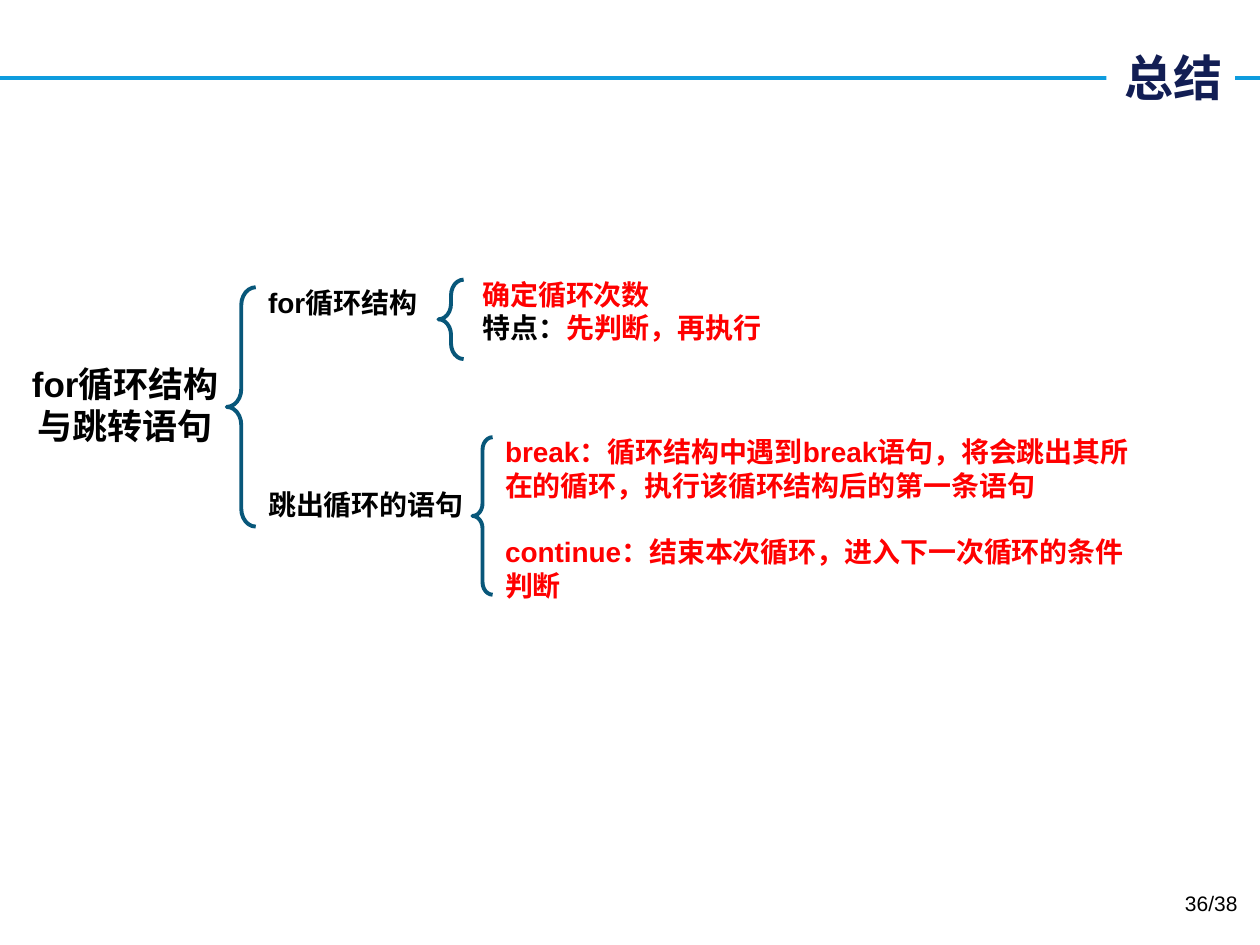
"""Build the summary slide on the for loop and jump statements."""
from dataclasses import dataclass

from lxml import etree
from pptx import Presentation
from pptx import util as u
from pptx.dml.color import RGBColor
from pptx.enum import lang, shapes, text
from pptx.oxml.ns import qn


@dataclass(frozen=True)
class Theme:
    font: str = "Arial"
    title_font: str = "Noto Sans CJK SC"
    ink: str = "000000"
    key: str = "FF0000"
    title: str = "121E54"
    paper: str = "FFFFFF"
    rule: str = "0E9CDE"
    brace: str = "08577A"
    title_size: int = 28
    topic_size: int = 20
    body_size: int = 16
    number_size: int = 12
    line_width: float = 2.25


T = Theme()
LEFT, CENTER, RIGHT = text.PP_ALIGN.LEFT, text.PP_ALIGN.CENTER, text.PP_ALIGN.RIGHT


@dataclass(frozen=True)
class Box:
    left: float
    top: float
    width: float
    height: float

    def lengths(self) -> list[u.Length]:
        return [u.Inches(v) for v in (self.left, self.top, self.width, self.height)]


@dataclass(frozen=True)
class Label:
    box: Box
    lines: tuple[tuple[tuple[str, str], ...], ...]
    size: int = T.body_size
    align: text.PP_ALIGN = LEFT
    gap: float = 0
    font: str = T.font
    bold: bool = True


@dataclass(frozen=True)
class Brace:
    box: Box
    curve: float = 0.62


LABELS = (
    Label(Box(2.03, 2.22, 2.73, 2.26),
          ((("for循环结构", T.ink),), (("跳出循环的语句", T.ink),)), gap=96),
    Label(Box(3.73, 2.15, 2.52, 0.64),
          ((("确定循环次数", T.key),), (("特点：", T.ink), ("先判断，再执行", T.key)))),
    Label(Box(0, 2.83, 1.99, 0.77),
          ((("for循环结构", T.ink),), (("与跳转语句", T.ink),)), T.topic_size, CENTER),
    Label(Box(3.91, 3.4, 5.21, 1.45),
          ((("break：循环结构中遇到break语句，将会跳出其所在的循环，执行该循环结构后的第一条语句", T.key),),
           (("continue：结束本次循环，进入下一次循环的条件判断", T.key),)), gap=19),
    Label(Box(7.59, 7.02, 2.33, 0.4), ((("36/38", T.ink),),),
          T.number_size, RIGHT, bold=False),
)
TITLE = Label(Box(8.78, 0.31, 1.02, 0.6), ((("总结", T.title),),),
              T.title_size, RIGHT, font=T.title_font)
BRACES = (
    Brace(Box(1.8, 2.28, 0.23, 1.9)),
    Brace(Box(3.48, 2.22, 0.2, 0.63)),
    Brace(Box(3.75, 3.47, 0.16, 1.25)),
)


def rgb(value: str) -> RGBColor:
    return RGBColor.from_string(value)


def add_label(s, label: Label):
    sp = s.shapes.add_textbox(*label.box.lengths())
    tf = sp.text_frame
    tf.word_wrap = True
    for i, line in enumerate(label.lines):
        p = tf.add_paragraph() if i else tf.paragraphs[0]
        p.alignment = label.align
        p.space_before = u.Pt(label.gap if i else 0)
        for words, color in line:
            r = p.add_run()
            r.text = words
            r.font.name = label.font
            r.font.size = u.Pt(label.size)
            r.font.bold = label.bold
            r.font.color.rgb = rgb(color)
            r.font.language_id = lang.MSO_LANGUAGE_ID.SIMPLIFIED_CHINESE
    return sp


def add_title(s, label: Label) -> None:
    sp = add_label(s, label)
    sp.fill.solid()
    sp.fill.fore_color.rgb = rgb(T.paper)
    sp.text_frame.vertical_anchor = text.MSO_ANCHOR.MIDDLE


def style_line(line, color: str) -> None:
    line.color.rgb = rgb(color)
    line.width = u.Pt(T.line_width)


def add_rule(s, top: float, width: float) -> None:
    y = u.Inches(top)
    cx = s.shapes.add_connector(shapes.MSO_CONNECTOR.STRAIGHT, 0, y, u.Inches(width), y)
    style_line(cx.line, T.rule)
    etree.SubElement(cx._element.spPr, qn("a:effectLst"))


def add_brace(s, brace: Brace) -> None:
    sp = s.shapes.add_shape(shapes.MSO_SHAPE.LEFT_BRACE, *brace.box.lengths())
    sp.adjustments[0] = brace.curve
    sp.shadow.inherit = False
    sp.fill.background()
    style_line(sp.line, T.brace)


def main() -> None:
    prs = Presentation()
    prs.slide_width, prs.slide_height = u.Inches(10), u.Inches(7.5)
    s = prs.slides.add_slide(prs.slide_layouts[6])
    add_rule(s, 0.62, 10)
    add_title(s, TITLE)
    for label in LABELS:
        add_label(s, label)
    for brace in BRACES:
        add_brace(s, brace)
    prs.save("out.pptx")


if __name__ == "__main__":
    main()
